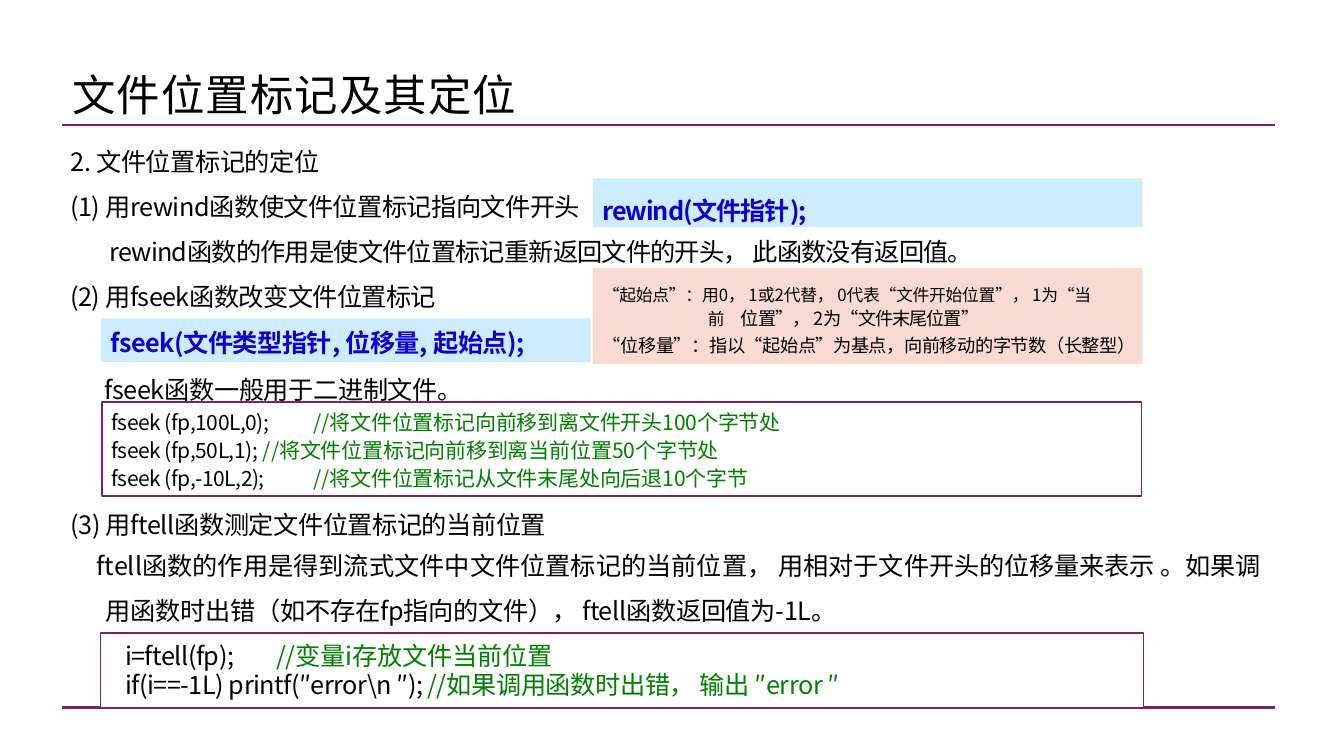
from dataclasses import dataclass

from lxml import etree
from pptx import Presentation
from pptx.dml.color import RGBColor
from pptx.enum.shapes import MSO_CONNECTOR, MSO_SHAPE
from pptx.enum.text import MSO_ANCHOR, PP_ALIGN
from pptx.oxml.ns import qn
from pptx.util import Emu, Pt

RECTANGLE = MSO_SHAPE.RECTANGLE
STRAIGHT = MSO_CONNECTOR.STRAIGHT
TOP = MSO_ANCHOR.TOP
LEFT = PP_ALIGN.LEFT

EMU_PER_PX = 9144  # 100 px to the inch
FONT = "Noto Sans CJK SC"
BLACK, WHITE, PURPLE = "000000", "FFFFFF", "782367"
BLUE, GREEN = "1100CC", "008000"
PALE_BLUE, PINK = "CCECFF", "FADBD3"


@dataclass
class Span:
    text: str
    size: int = 18
    spacing: float = -0.4
    color: str = BLACK
    bold: bool = False


@dataclass
class Line:
    spans: list
    pitch: float = 32
    indent: int = 0
    before: float = 0
    tab: int = 0


def px(length):
    return Emu(length * EMU_PER_PX)


def rgb(value):
    return RGBColor.from_string(value)


def write(shape, lines, left=0, top=0):
    """Fill a shape with lines of fixed pitch, inset from its top left."""
    frame = shape.text_frame
    frame.word_wrap = True
    frame.vertical_anchor = TOP
    frame.margin_left, frame.margin_top = px(left), px(top)
    frame.margin_right = frame.margin_bottom = 0
    for index, line in enumerate(lines):
        para = frame.add_paragraph() if index else frame.paragraphs[0]
        properties = para._p.get_or_add_pPr()
        properties.set("marL", str(px(line.indent)))
        properties.set("indent", "0")
        if line.tab:
            tabs = etree.SubElement(properties, qn("a:tabLst"))
            etree.SubElement(tabs, qn("a:tab"), pos=str(px(line.tab)), algn="l")
        para.alignment = LEFT
        para.line_spacing = Pt(line.pitch)
        para.space_before = Pt(line.before)
        for span in line.spans:
            run = para.add_run()
            run.text = span.text
            run.font.size = Pt(span.size)
            run.font.bold = span.bold
            run.font.color.rgb = rgb(span.color)
            run.font.name = FONT
            style = run.font._element
            style.set("spc", str(round(span.spacing * 100)))
            east_asian = etree.Element(qn("a:ea"), typeface=FONT)
            style.find(qn("a:latin")).addnext(east_asian)


def add_text(page, box, lines):
    write(page.shapes.add_textbox(*map(px, box)), lines)


def add_panel(page, box, fill, lines, left, top, outline=None):
    panel = page.shapes.add_shape(RECTANGLE, *map(px, box))
    panel.shadow.inherit = False
    panel.fill.solid()
    panel.fill.fore_color.rgb = rgb(fill)
    if outline:
        panel.line.color.rgb = rgb(outline)
        panel.line.width = Pt(1)
    else:
        panel.line.fill.background()
    write(panel, lines, left, top)


def add_rule(page, left, right, y):
    rule = page.shapes.add_connector(STRAIGHT, px(left), px(y), px(right), px(y))
    rule.line.color.rgb = rgb(PURPLE)
    rule.line.width = Pt(2)
    etree.SubElement(rule._element.spPr, qn("a:effectLst"))


def add_syntax(page, box, text, spacing, top):
    """Blue call pattern on a pale blue panel."""
    line = Line([Span(text, 18, spacing, BLUE, True)], 20)
    add_panel(page, box, PALE_BLUE, [line], 10, top)


def add_code(page, box, rows, size, pitch, left, top):
    """Outlined listing: each row is code, a tab position and a comment."""
    lines = [
        Line([Span(code + "\t", size, -0.35), Span(comment, size, spacing, GREEN)],
             pitch, tab=tab)
        for code, tab, comment, spacing in rows
    ]
    add_panel(page, box, WHITE, lines, left, top, PURPLE)


def add_body(page):
    # Sections 1 and 2, with room left for the fseek panel
    add_text(page, (70, 131, 930, 269), [
        Line([Span("2. 文件位置标记的定位", spacing=-0.3)]),
        Line([Span("(1) 用rewind函数使文件位置标记指向文件开头")]),
        Line([Span("rewind函数的作用是使文件位置标记重新返回文件的开头， 此函数没有返回值。",
                   spacing=-0.6)], indent=39),
        Line([Span("(2) 用fseek函数改变文件位置标记", spacing=-0.45)]),
        Line([Span("fseek函数一般用于二进制文件。", spacing=-0.3)],
             indent=34, before=34.5),
    ])
    # Section 3
    add_text(page, (70, 491, 1220, 130), [
        Line([Span("(3) 用ftell函数测定文件位置标记的当前位置", spacing=-0.35)]),
        Line([Span("ftell函数的作用是得到流式文件中文件位置标记的当前位置， 用相对于文件", spacing=0),
              Span("开头的位移量来表示 。如果调", spacing=-0.1)], 29.3, 26),
        Line([Span("用函数时出错（如不存在fp指向的文件", spacing=-0.2),
              Span("）， ", spacing=-0.9),
              Span("ftell函数返回值为-1L。", spacing=-0.25)], indent=35),
    ])


def add_argument_note(page, box):
    add_panel(page, box, PINK, [
        Line([Span("“起始点”：用0， 1或2代替， 0代表“文件开始位置”， 1为“当", 12, -0.2)],
             18, 10),
        Line([Span("前　", 12, -0.3), Span("位置”， 2为“文件末尾位置”", 13, -0.7)],
             18, 114),
        Line([Span("“位移量”：指以“起始点”为基点，向前移动的字节数（长整型）", 13, -0.3)],
             18, 10, 1.3),
    ], 0, 11)


def build_position_slide(page):
    add_body(page)
    add_argument_note(page, (588, 266, 545, 95))

    # Title and the two rules
    title = Span("文件位置标记及其定位", 31, 0.8)
    add_text(page, (72, 69, 600, 55), [Line([title], 36)])
    for y in (124, 702):
        add_rule(page, 62, 1265, y)

    # Call patterns
    add_syntax(page, (588, 177, 545, 48), "rewind(文件指针);", -0.8, 19)
    add_syntax(page, (100, 316, 486, 43), "fseek(文件类型指针, 位移量, 起始点);", -0.4, 11)

    # Code listings
    add_code(page, (101, 399, 1031, 93), [
        ("fseek (fp,100L,0);", 335, "//将文件位置标记向前移到离文件开头100个字节处", -0.15),
        ("fseek (fp,50L,1);", 327, "//将文件位置标记向前移到离当前位置50个字节处", -0.15),
        ("fseek (fp,-10L,2);", 329, "//将文件位置标记从文件末尾处向后退10个字节", -0.15),
    ], 15, 20, 10, 5)
    add_code(page, (100, 628, 1034, 74), [
        ("i=ftell(fp);", 415, "//变量i存放文件当前位置", -0.2),
        ("if(i==-1L) printf(″error\\n ″);", 464,
         "//如果调用函数时出错， 输出 ″error ″", -0.3),
    ], 18, 20.7, 24, 9)


def main():
    deck = Presentation()
    deck.slide_width, deck.slide_height = px(1333), px(750)
    build_position_slide(deck.slides.add_slide(deck.slide_layouts[6]))
    deck.save("out.pptx")


if __name__ == "__main__":
    main()
